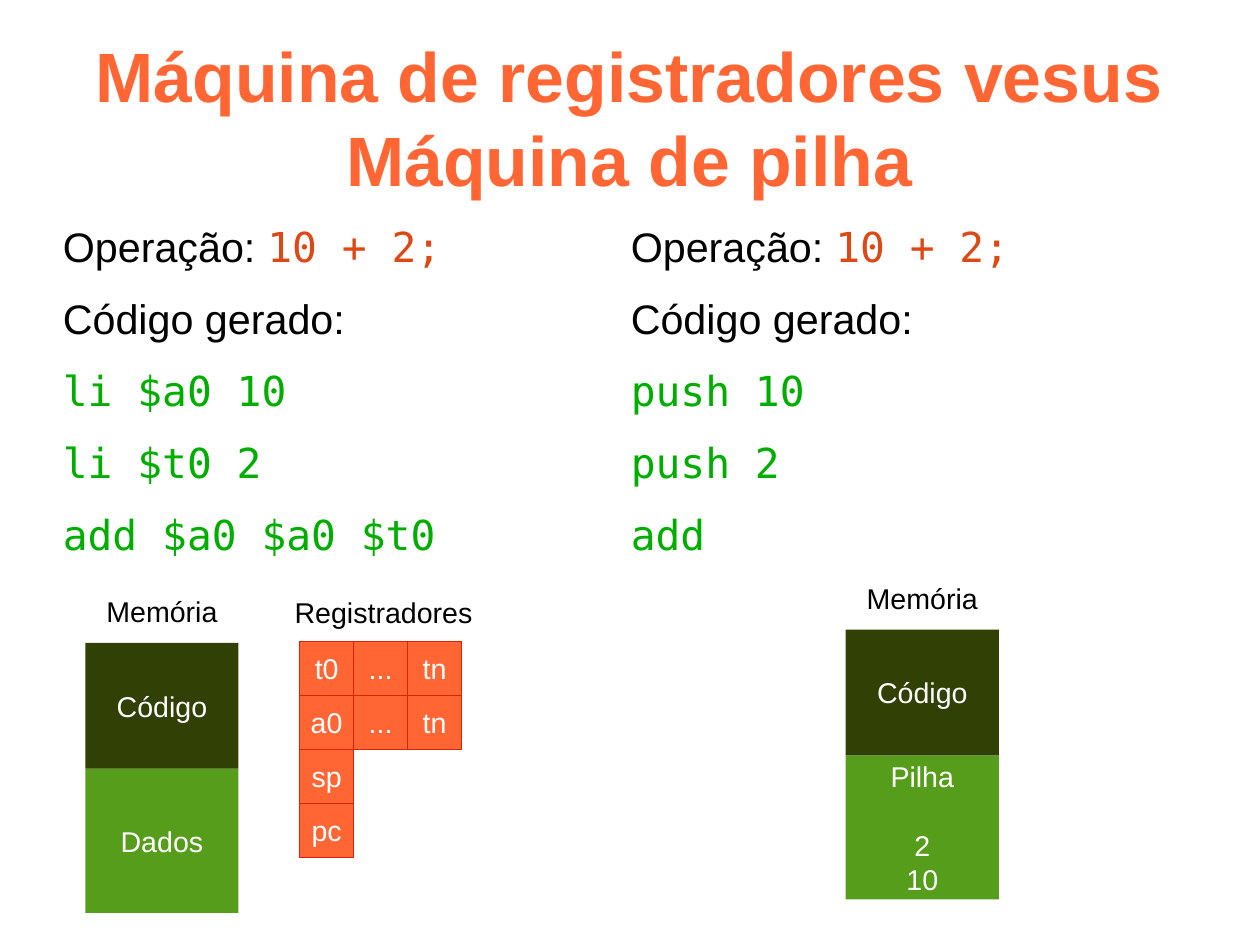
from pptx import Presentation
from pptx.dml.color import RGBColor
from pptx.enum.shapes import MSO_SHAPE
from pptx.enum.text import MSO_ANCHOR, MSO_AUTO_SIZE, PP_ALIGN
from pptx.util import Pt

SANS, MONO = "Arial", "DejaVu Sans Mono"
BLACK, WHITE, ORANGE = "000000", "FFFFFF", "FF6633"
RED, GREEN = "DD4814", "00AE00"
DARK, LIGHT, BORDER = "314004", "579D1C", "DC2300"

TITLE = "Máquina de registradores vesus Máquina de pilha"
INTRO = [
    [("Operação: ", SANS, BLACK), ("10 + 2;", MONO, RED)],
    [("Código gerado:", SANS, BLACK)],
]
COLUMNS = [
    (39.6, ["li $a0 10", "li $t0 2", "add $a0 $a0 $t0"]),
    (397.4, ["push 10", "push 2", "add"]),
]
MEMORIES = [
    (53.8, 405, ["Dados"]),
    (532.8, 396.6, ["Pilha", "2", "10"]),
]
REGISTERS = [["t0", "...", "tn"], ["a0", "...", "tn"], ["sp"], ["pc"]]

MEMORY_W, CODE_H, DATA_H = 96.5, 79.2, 90.8
LABEL_RISE, LABEL_H = 33.6, 27.4
REG_X, REG_Y, REG_SIZE = 188.8, 403.9, 34


def color(value):
    return RGBColor.from_string(value)


def write(tf, lines, size, align=PP_ALIGN.LEFT, after=0, bold=False):
    for i, line in enumerate(lines):
        p = tf.paragraphs[0] if i == 0 else tf.add_paragraph()
        p.alignment = align
        p.line_spacing = Pt(size * 1.2)
        p.space_after = Pt(after)
        for text, font, ink in line:
            r = p.add_run()
            r.text = text
            r.font.name = font
            r.font.size = Pt(size)
            r.font.bold = bold
            r.font.color.rgb = color(ink)


def add_text(shapes, x, y, w, h):
    tf = shapes.add_textbox(Pt(x), Pt(y), Pt(w), Pt(h)).text_frame
    tf.word_wrap = True
    tf.margin_left = tf.margin_right = tf.margin_top = tf.margin_bottom = 0
    return tf


def add_label(shapes, text, center, y, w):
    tf = add_text(shapes, center - w / 2, y, w, LABEL_H)
    tf.word_wrap = False
    tf.vertical_anchor = MSO_ANCHOR.MIDDLE
    write(tf, [[(text, SANS, BLACK)]], 18, PP_ALIGN.CENTER)


def add_box(shapes, texts, x, y, w, h, fill, border=None):
    sp = shapes.add_shape(MSO_SHAPE.RECTANGLE, Pt(x), Pt(y), Pt(w), Pt(h))
    sp.shadow.inherit = False
    sp.fill.solid()
    sp.fill.fore_color.rgb = color(fill)
    if border:
        sp.line.color.rgb = color(border)
        sp.line.width = Pt(0.57)
    else:
        sp.line.fill.background()
    tf = sp.text_frame
    tf.word_wrap = False
    tf.vertical_anchor = MSO_ANCHOR.MIDDLE
    write(tf, [[(text, SANS, WHITE)] for text in texts], 18, PP_ALIGN.CENTER)
    if len(texts) > 1:
        tf.paragraphs[1].space_before = Pt(21.6)


prs = Presentation()
prs.slide_width, prs.slide_height = Pt(793.75), Pt(595.25)
s = prs.slides.add_slide(prs.slide_layouts[6])

title = add_text(s.shapes, 39.6, 23.8, 714.2, 99.4)
title.vertical_anchor = MSO_ANCHOR.MIDDLE
title.auto_size = MSO_AUTO_SIZE.SHAPE_TO_FIT_TEXT
write(title, [[(TITLE, SANS, ORANGE)]], 44, PP_ALIGN.CENTER, bold=True)

for x, code in COLUMNS:
    body = add_text(s.shapes, x, 139, 340.6, 344.9)
    write(body, INTRO + [[(line, MONO, GREEN)] for line in code], 26, after=14.2)

for x, y, data in MEMORIES:
    group = s.shapes.add_group_shape().shapes
    add_box(group, data, x, y + CODE_H, MEMORY_W, DATA_H, LIGHT)
    add_box(group, ["Código"], x, y, MEMORY_W, CODE_H, DARK)
    add_label(group, "Memória", x + MEMORY_W / 2, y - LABEL_RISE, 84.2)

group = s.shapes.add_group_shape().shapes
for row, names in enumerate(REGISTERS):
    for col, name in enumerate(names):
        add_box(group, [name], REG_X + col * REG_SIZE, REG_Y + row * REG_SIZE,
                REG_SIZE, REG_SIZE, ORANGE, BORDER)
add_label(group, "Registradores", 241.6, 371.5, 126)

prs.save("out.pptx")
